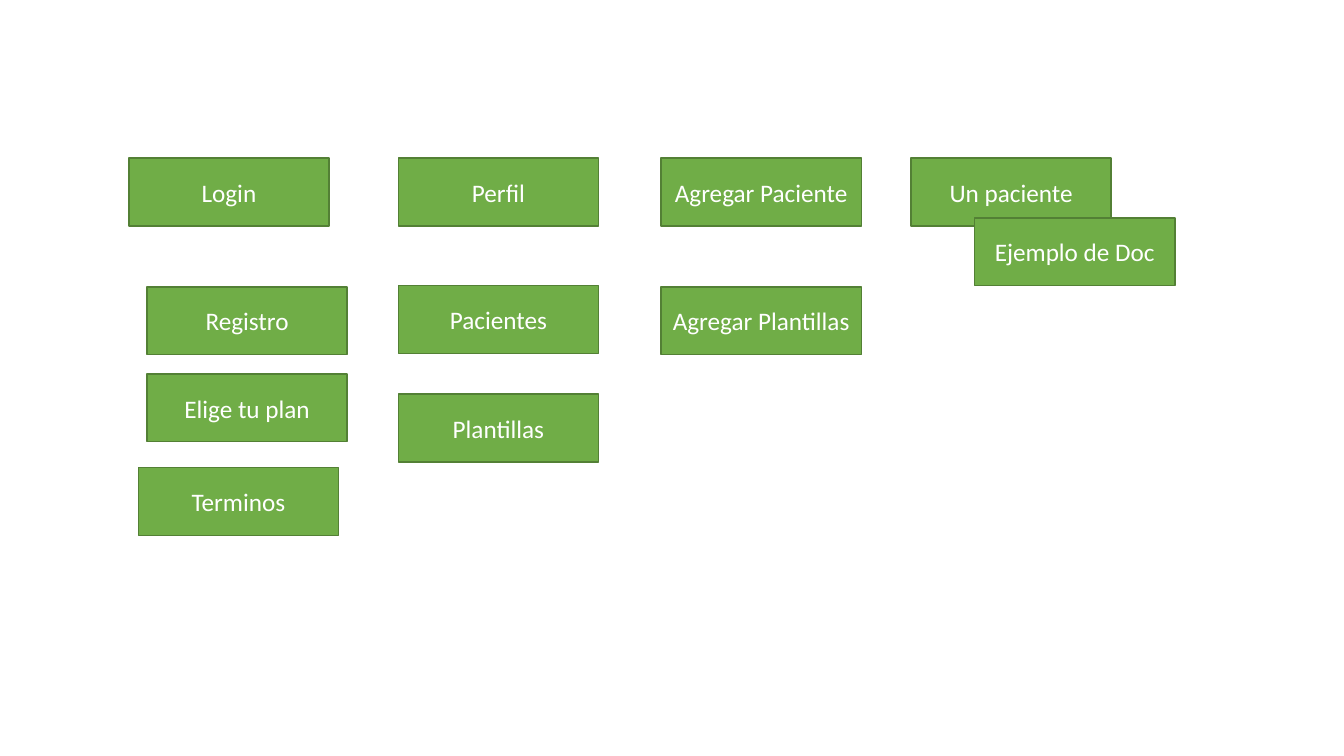
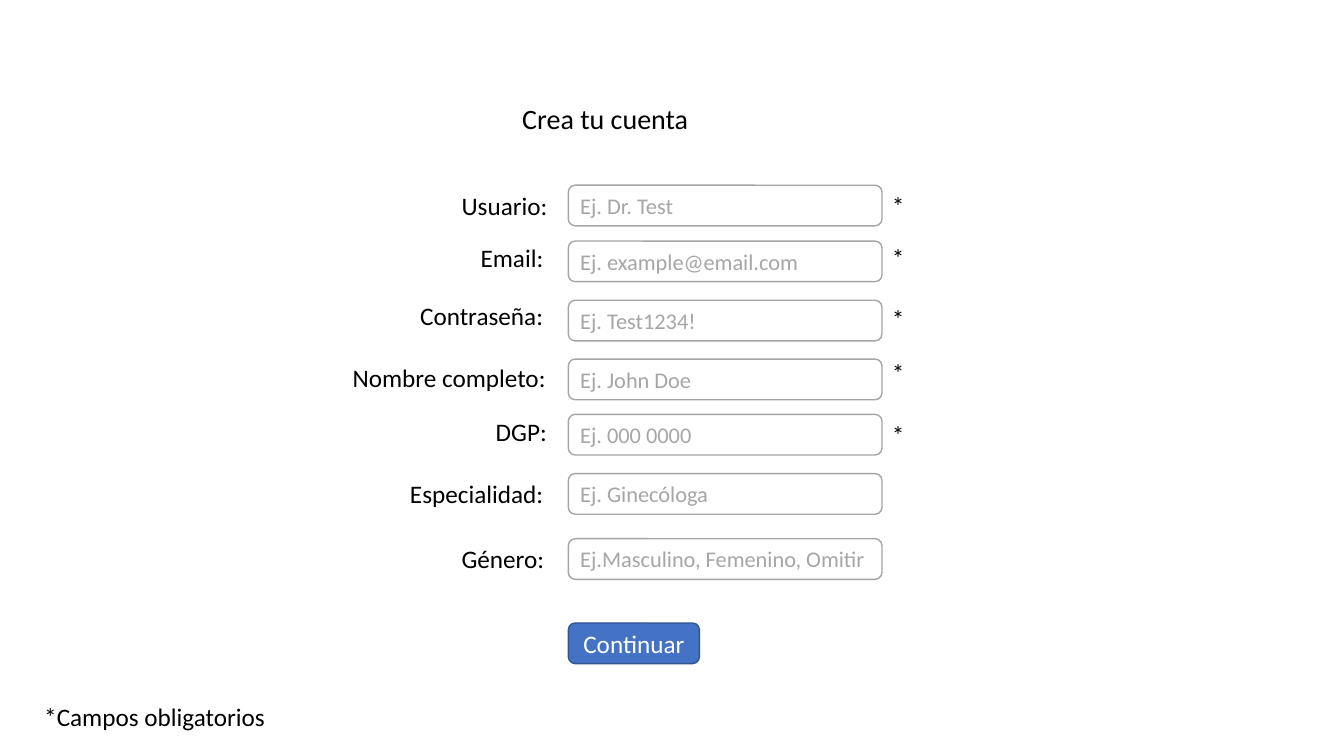
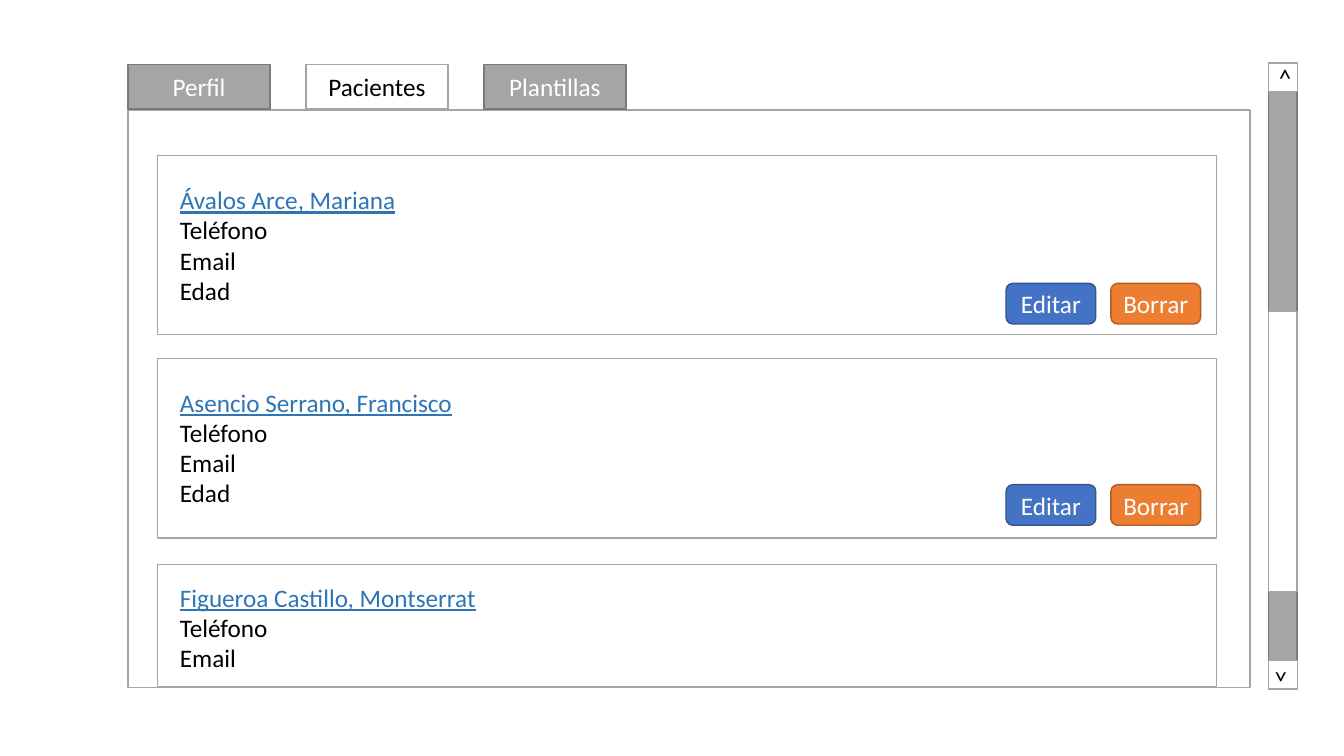
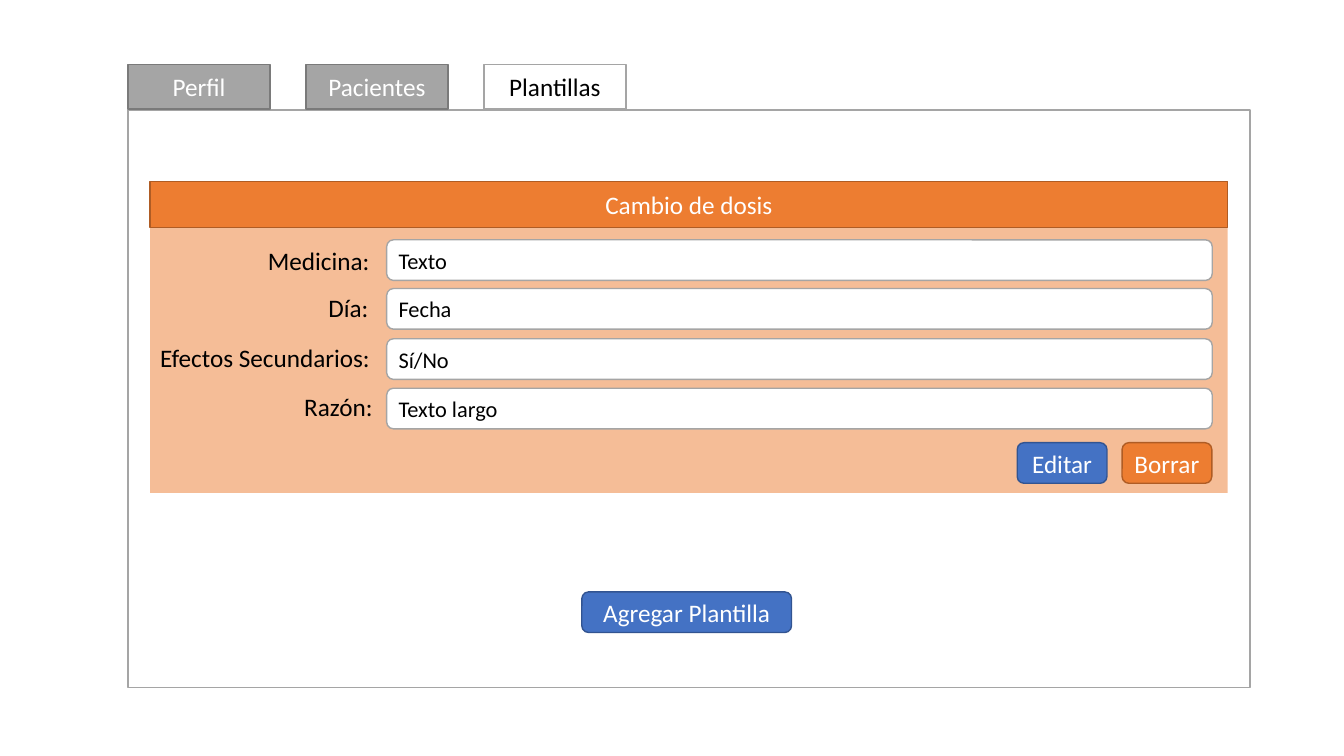
from dataclasses import dataclass

import lxml.etree
import pptx
import pptx.dml.color
import pptx.enum.shapes
import pptx.enum.text
import pptx.oxml.ns
import pptx.presentation
import pptx.shapes.autoshape
import pptx.slide
import pptx.text.text
import pptx.util

Pt = pptx.util.Pt
Color = pptx.dml.color.RGBColor
Align = pptx.enum.text.PP_ALIGN
Anchor = pptx.enum.text.MSO_ANCHOR
RECTANGLE = pptx.enum.shapes.MSO_SHAPE.RECTANGLE
ROUNDED = pptx.enum.shapes.MSO_SHAPE.ROUNDED_RECTANGLE

WHITE = Color(0xFF, 0xFF, 0xFF)
BLACK = Color(0x00, 0x00, 0x00)
GREEN = Color(0x70, 0xAD, 0x47)
DARK_GREEN = Color(0x53, 0x80, 0x35)
BLUE = Color(0x44, 0x72, 0xC4)
DARK_BLUE = Color(0x32, 0x54, 0x91)
ORANGE = Color(0xED, 0x7D, 0x31)
DARK_ORANGE = Color(0xAF, 0x5C, 0x24)
GRAY = Color(0xA5, 0xA5, 0xA5)
DARK_GRAY = Color(0x7A, 0x7A, 0x7A)
HINT_GRAY = Color(0xA6, 0xA6, 0xA6)
LINK_BLUE = Color(0x2E, 0x75, 0xB6)

FONT = "Calibri"
BODY_SIZE = 18
FIELD_SIZE = 16
TITLE_SIZE = 20
CONTROL_HEIGHT = 29
BUTTON_WIDTH = 64.1
BUTTON_PITCH = 74.9
TITLE_ONLY_LAYOUT = 5
BLANK_LAYOUT = 6


@dataclass(frozen=True)
class Box:
    left: float
    top: float
    width: float
    height: float


@dataclass(frozen=True)
class Style:
    fill: Color
    line: Color | None
    text: Color = WHITE
    size: float = BODY_SIZE
    align: Align = Align.CENTER


@dataclass(frozen=True)
class Screen:
    name: str
    left: float
    top: float


@dataclass(frozen=True)
class Field:
    label: str
    label_left: float
    label_top: float
    label_width: float
    value: str
    top: float
    star_top: float | None = None


@dataclass(frozen=True)
class Patient:
    name: str
    details: tuple[str, ...]
    card_top: float
    card_height: float
    text_top: float
    button_top: float | None = None


SCREEN = Style(GREEN, DARK_GREEN)
PRIMARY = Style(BLUE, DARK_BLUE)
DANGER = Style(ORANGE, DARK_ORANGE)
INACTIVE = Style(GRAY, DARK_GRAY)
OUTLINE = Style(WHITE, GRAY, BLACK)
HINT = Style(WHITE, GRAY, HINT_GRAY, FIELD_SIZE, Align.LEFT)
ENTRY = Style(WHITE, GRAY, BLACK, FIELD_SIZE, Align.LEFT)
PANEL = Style(ORANGE, None)

FRAME = Box(91.4, 78.5, 801.4, 412.6)
TABS = ("Perfil", "Pacientes", "Plantillas")
TAB = Box(FRAME.left, 46.1, 101.5, 31.7)
TAB_PITCH = 127.1

SCREENS = (
    Screen("Login", 92, 113),
    Screen("Registro", 105, 205),
    Screen("Terminos", 98.8, 334),
    Screen("Perfil", 284.5, 113),
    Screen("Pacientes", 284.5, 204),
    Screen("Plantillas", 284.5, 281.5),
    Screen("Agregar Paciente", 472.2, 113),
    Screen("Agregar Plantillas", 472.2, 205),
    Screen("Un paciente", 650.7, 113),
    Screen("Ejemplo de Doc", 696.2, 155.7),
    Screen("Elige tu plan", 105, 267.2),
)

ACCOUNT_FIELDS = (
    Field("Usuario:", 322.6, 132.5, 97.2, "Ej. Dr. Test", 132.3, 132.5),
    Field("Email:", 336.2, 169.2, 97.2, "Ej. example@email.com", 172.2, 169.2),
    Field("Contraseña:", 293, 211.2, 137.5, "Ej. Test1234!", 214.5, 213.1),
    Field("Nombre completo:", 244.8, 255, 169.9, "Ej. John Doe", 256.5, 252),
    Field("DGP:", 347, 293.8, 97.2, "Ej. 000 0000", 296, 295.9),
    Field("Especialidad:", 285.8, 338.4, 146.2, "Ej. Ginecóloga", 338.3),
    Field("Género:", 322.6, 384.5, 107.3, "Ej.Masculino, Femenino, Omitir", 384.8),
)

TEMPLATE_FIELDS = (
    Field("Medicina:", 184.3, 171.4, 94, "Texto", 171.3),
    Field("Día:", 227.5, 205.4, 48, "Fecha", 206.1),
    Field("Efectos Secundarios:", 107.3, 241.2, 172, "Sí/No", 242),
    Field("Razón:", 210.2, 276, 68, "Texto largo", 277.3),
)

PATIENTS = (
    Patient("Ávalos Arce, Mariana", ("Teléfono", "Email", "Edad"), 110.9, 128.2, 128.2, 202.4),
    Patient("Asencio Serrano, Francisco", ("Teléfono", "Email", "Edad"), 256.1, 128.2, 272.9, 346.2),
    Patient("Figueroa Castillo, Montserrat", ("Teléfono", "Email"), 403.2, 87.3, 412.2),
)


def format_paragraph(
    paragraph: pptx.text.text._Paragraph,
    text: str,
    color: Color,
    size: float = BODY_SIZE,
    align: Align = Align.LEFT,
) -> None:
    paragraph.text = text
    paragraph.alignment = align
    paragraph.font.name = FONT
    paragraph.font.size = Pt(size)
    paragraph.font.color.rgb = color


def add_box(
    slide: pptx.slide.Slide,
    box: Box,
    style: Style,
    text: str = "",
    kind: pptx.enum.shapes.MSO_SHAPE = RECTANGLE,
) -> pptx.shapes.autoshape.Shape:
    shape = slide.shapes.add_shape(kind, Pt(box.left), Pt(box.top), Pt(box.width), Pt(box.height))
    shape.shadow.inherit = False
    shape.fill.solid()
    shape.fill.fore_color.rgb = style.fill
    if style.line is None:
        shape.line.fill.background()
    else:
        shape.line.color.rgb = style.line
        shape.line.width = Pt(1)
    if text:
        format_paragraph(shape.text_frame.paragraphs[0], text, style.text, style.size, style.align)
    return shape


def set_opacity(shape: pptx.shapes.autoshape.Shape, percent: int) -> None:
    color = shape._element.spPr.find(f".//{pptx.oxml.ns.qn('a:srgbClr')}")
    lxml.etree.SubElement(color, pptx.oxml.ns.qn("a:alpha")).set("val", str(percent * 1000))


def add_text(slide: pptx.slide.Slide, box: Box, *lines: str) -> pptx.text.text.TextFrame:
    shape = slide.shapes.add_textbox(Pt(box.left), Pt(box.top), Pt(box.width), Pt(box.height))
    frame = shape.text_frame
    frame.word_wrap = True
    for index, line in enumerate(lines):
        paragraph = frame.add_paragraph() if index else frame.paragraphs[0]
        format_paragraph(paragraph, line, BLACK)
    return frame


def add_title(slide: pptx.slide.Slide, box: Box, text: str) -> None:
    title = slide.shapes.title
    title.left, title.top = Pt(box.left), Pt(box.top)
    title.width, title.height = Pt(box.width), Pt(box.height)
    frame = title.text_frame
    frame.auto_size = pptx.enum.text.MSO_AUTO_SIZE.NONE
    frame.vertical_anchor = Anchor.TOP
    format_paragraph(frame.paragraphs[0], text, BLACK, TITLE_SIZE)


def add_button(
    slide: pptx.slide.Slide, left: float, top: float, width: float, style: Style, text: str
) -> None:
    add_box(slide, Box(left, top, width, CONTROL_HEIGHT), style, text, ROUNDED)


def add_edit_buttons(slide: pptx.slide.Slide, left: float, top: float) -> None:
    add_button(slide, left, top, BUTTON_WIDTH, PRIMARY, "Editar")
    add_button(slide, left + BUTTON_PITCH, top, BUTTON_WIDTH, DANGER, "Borrar")


def add_fields(
    slide: pptx.slide.Slide, fields: tuple[Field, ...], left: float, width: float, style: Style
) -> None:
    for field in fields:
        add_box(slide, Box(left, field.top, width, CONTROL_HEIGHT), style, field.value, ROUNDED)
        label_box = Box(field.label_left, field.label_top, field.label_width, CONTROL_HEIGHT)
        add_text(slide, label_box, field.label)
        if field.star_top is not None:
            add_text(slide, Box(left + width, field.star_top, 97.2, CONTROL_HEIGHT), "*")


def add_tabbed_frame(slide: pptx.slide.Slide, active: str) -> None:
    add_box(slide, FRAME, OUTLINE)
    for index, name in enumerate(TABS):
        box = Box(TAB.left + index * TAB_PITCH, TAB.top, TAB.width, TAB.height)
        add_box(slide, box, OUTLINE if name == active else INACTIVE, name)


def add_patient(slide: pptx.slide.Slide, patient: Patient) -> None:
    add_box(slide, Box(112.4, patient.card_top, 756.5, patient.card_height), OUTLINE)
    lines = (patient.name, *patient.details)
    text_box = Box(121.4, patient.text_top, 242.6, 7.2 + 21.7 * len(lines))
    name = add_text(slide, text_box, *lines).paragraphs[0]
    name.font.color.rgb = LINK_BLUE
    name.font.underline = True
    if patient.button_top is not None:
        add_edit_buttons(slide, 718.6, patient.button_top)


def add_scrollbar(slide: pptx.slide.Slide) -> None:
    left, width = 906.3, 20.2
    add_box(slide, Box(left, 46.1, width, 445), INACTIVE)
    add_box(slide, Box(left, 222.5, width, 200), OUTLINE)
    for top, rotation in ((44.6, 270), (471.6, 90)):
        add_box(slide, Box(left, top, width, 20.9), OUTLINE, ">").rotation = rotation


def build_screen_map(presentation: pptx.presentation.Presentation) -> None:
    slide = presentation.slides.add_slide(presentation.slide_layouts[BLANK_LAYOUT])
    for screen in SCREENS:
        add_box(slide, Box(screen.left, screen.top, 143, 48.4), SCREEN, screen.name)


def build_account_form(presentation: pptx.presentation.Presentation) -> None:
    slide = presentation.slides.add_slide(presentation.slide_layouts[TITLE_ONLY_LAYOUT])
    left = 406
    add_title(slide, Box(365.8, 69.1, 156.2, 31.5), "Crea tu cuenta")
    add_fields(slide, ACCOUNT_FIELDS, left, 224, HINT)
    add_button(slide, left, 445, 93.6, PRIMARY, "Continuar")
    add_text(slide, Box(24.5, 497.5, 252.7, CONTROL_HEIGHT), "*Campos obligatorios")


def build_patient_list(presentation: pptx.presentation.Presentation) -> None:
    slide = presentation.slides.add_slide(presentation.slide_layouts[BLANK_LAYOUT])
    add_tabbed_frame(slide, "Pacientes")
    for patient in PATIENTS:
        add_patient(slide, patient)
    add_scrollbar(slide)


def build_template_list(presentation: pptx.presentation.Presentation) -> None:
    slide = presentation.slides.add_slide(presentation.slide_layouts[BLANK_LAYOUT])
    add_tabbed_frame(slide, "Plantillas")
    panel = Box(107.2, 129.6, 769.7, 222.5)
    set_opacity(add_box(slide, panel, PANEL), 50)
    add_box(slide, Box(panel.left, panel.top, panel.width, 32.8), DANGER, "Cambio de dosis")
    add_fields(slide, TEMPLATE_FIELDS, 276.2, 589.7, ENTRY)
    add_edit_buttons(slide, 726.6, 316.2)
    add_button(slide, 415.6, 422.8, 149.8, PRIMARY, "Agregar Plantilla")


def main() -> None:
    presentation = pptx.Presentation()
    presentation.slide_width = Pt(960)
    presentation.slide_height = Pt(540)
    build_screen_map(presentation)
    build_account_form(presentation)
    build_patient_list(presentation)
    build_template_list(presentation)
    presentation.save("out.pptx")


if __name__ == "__main__":
    main()
